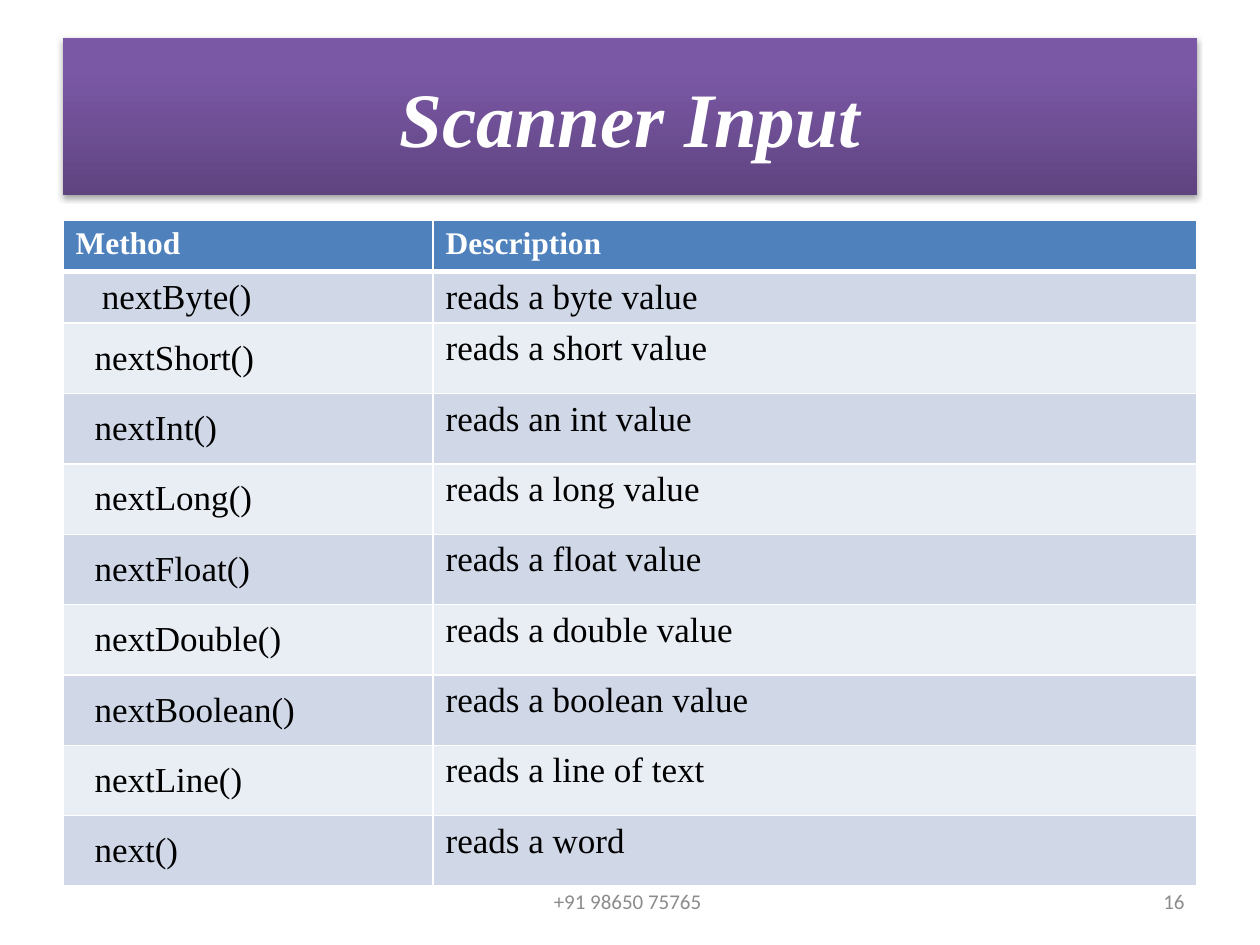
from copy import deepcopy
from dataclasses import dataclass
from typing import Any

from lxml.etree import SubElement
from pptx import Presentation
from pptx.dml.color import RGBColor
from pptx.enum.shapes import MSO_SHAPE as Preset
from pptx.enum.text import MSO_ANCHOR as Anchor, PP_ALIGN as Align
from pptx.oxml import parse_xml
from pptx.oxml.ns import nsdecls, qn
from pptx.util import Pt

SERIF, SANS = "Times New Roman", "Calibri"
LEFT, WIDTH = 36, 648
COLUMN_WIDTHS = (211.5, 436.5)
SHORT_ROW, TALL_ROW = 29.3, 40.2
HEADER_FILL, BANDS = "4F81BD", ("D0D8E8", "E9EDF4")


@dataclass(frozen=True)
class Method:
    """One reader method and its meaning."""
    name: str
    description: str


@dataclass(frozen=True)
class Footer:
    """One text at the foot of the slide."""
    text: str
    left: float
    width: float
    align: Any


METHODS = [Method(f"next{kind.capitalize()}()", f"reads {article} {kind} value")
           for kind, article in (("byte", "a"), ("short", "a"), ("int", "an"),
                                 ("long", "a"), ("float", "a"),
                                 ("double", "a"), ("boolean", "a"))]
METHODS += [Method("nextLine()", "reads a line of text"),
            Method("next()", "reads a word")]

FOOTERS = (Footer("+91 98650 75765 ", 246, 228, Align.CENTER),
           Footer("16", 516, 168, Align.RIGHT))


def rgb(value: str) -> RGBColor:
    """Turn a hex string into a colour."""
    return RGBColor.from_string(value)


def apply(target: Any, values: dict[str, Any]) -> None:
    """Set each named attribute on the target."""
    for name, value in values.items():
        setattr(target, name, value)


def write(frame: Any, text: str, color: str, align: Any = Align.LEFT,
          **font: Any) -> None:
    """Write one formatted paragraph into a text frame."""
    paragraph = frame.paragraphs[0]
    paragraph.alignment = align
    run = paragraph.add_run()
    run.text = text
    apply(run.font, font)
    run.font.color.rgb = rgb(color)


def add_title(slide: Any) -> None:
    """Draw the gradient banner with its soft shadow."""
    banner = slide.shapes.add_shape(Preset.RECTANGLE, Pt(LEFT), Pt(21.6),
                                    Pt(WIDTH), Pt(90))
    banner.line.fill.background()
    banner.fill.gradient()
    banner.fill.gradient_angle = 90
    stops = banner.fill._fill._gradFill.find(qn("a:gsLst"))
    stops.append(deepcopy(stops[-1]))
    shades = ((0, "5F4480"), (0.8, "7B58A6"), (1, "7C57A8"))
    for stop, (position, shade) in zip(banner.fill.gradient_stops, shades):
        stop.position = position
        stop.color.rgb = rgb(shade)

    banner.shadow.inherit = False
    effects = banner._element.spPr.find(qn("a:effectLst"))
    effects.append(parse_xml(
        f'<a:outerShdw {nsdecls("a")} blurRad="{Pt(3.1)}" dist="{Pt(1.8)}" '
        'dir="5400000" rotWithShape="0"><a:srgbClr val="000000">'
        '<a:alpha val="35000"/></a:srgbClr></a:outerShdw>'))
    banner.text_frame.vertical_anchor = Anchor.MIDDLE
    write(banner.text_frame, "Scanner Input", "FFFFFF", Align.CENTER,
          name=SERIF, size=Pt(44), bold=True, italic=True)


def add_borders(cell: Any, top: float, bottom: float) -> None:
    """Give a cell white borders, one point wide at the sides."""
    properties = cell._tc.get_or_add_tcPr()
    for side, width in (("L", 1), ("R", 1), ("T", top), ("B", bottom)):
        line = SubElement(properties, qn(f"a:ln{side}"), w=str(Pt(width)))
        SubElement(SubElement(line, qn("a:solidFill")), qn("a:srgbClr"),
                   val="FFFFFF")


def add_methods(slide: Any) -> None:
    """Draw the table of methods under its header."""
    lines = [Method("Method", "Description"), *METHODS]
    heights = [SHORT_ROW] * 2 + [TALL_ROW] * (len(lines) - 2)
    table = slide.shapes.add_table(len(lines), len(COLUMN_WIDTHS), Pt(LEFT),
                                   Pt(126), Pt(WIDTH), Pt(sum(heights))).table
    apply(table, {"first_row": False, "horz_banding": False})
    for column, width in zip(table.columns, COLUMN_WIDTHS):
        column.width = Pt(width)

    for index, (method, height) in enumerate(zip(lines, heights)):
        table.rows[index].height = Pt(height)
        header = index == 0
        for column, text in enumerate((method.name, method.description)):
            cell = table.cell(index, column)
            add_borders(cell, 3 if index == 1 else 1, 3 if header else 1)
            cell.fill.solid()
            cell.fill.fore_color.rgb = rgb(
                HEADER_FILL if header else BANDS[(index - 1) % 2])
            write(cell.text_frame, text, "FFFFFF" if header else "000000",
                  name=SERIF, size=Pt(18 if header else 20), bold=header)
            if column == 0 and index == 1:
                cell.margin_left = Pt(22.2)
            elif column == 0 and index > 1:
                apply(cell, {"vertical_anchor": Anchor.MIDDLE,
                             "margin_left": Pt(18), "margin_right": Pt(18),
                             "margin_top": Pt(8.6), "margin_bottom": Pt(8.6)})


def add_footer(slide: Any, footer: Footer) -> None:
    """Draw one grey footer text."""
    frame = slide.shapes.add_textbox(Pt(footer.left), Pt(500.5),
                                     Pt(footer.width), Pt(28.75)).text_frame
    apply(frame, {"word_wrap": True, "vertical_anchor": Anchor.MIDDLE})
    write(frame, footer.text, "8C8C8C", footer.align, name=SANS, size=Pt(12))


def main() -> None:
    """Build and save the slide."""
    deck = Presentation()
    apply(deck, {"slide_width": Pt(720), "slide_height": Pt(540)})
    slide = deck.slides.add_slide(deck.slide_layouts[6])
    add_title(slide)
    add_methods(slide)
    for footer in FOOTERS:
        add_footer(slide, footer)
    deck.save("out.pptx")


main()
